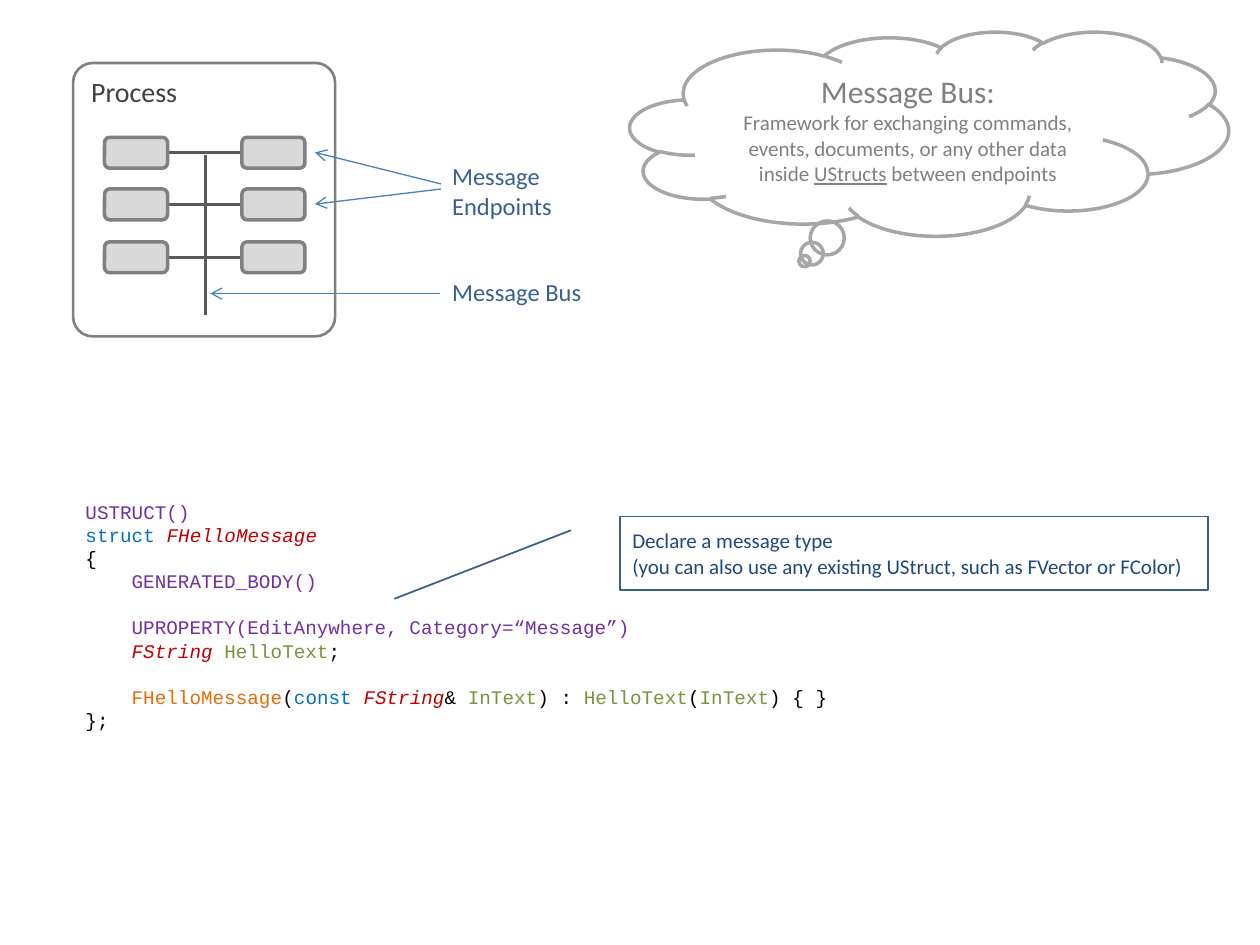
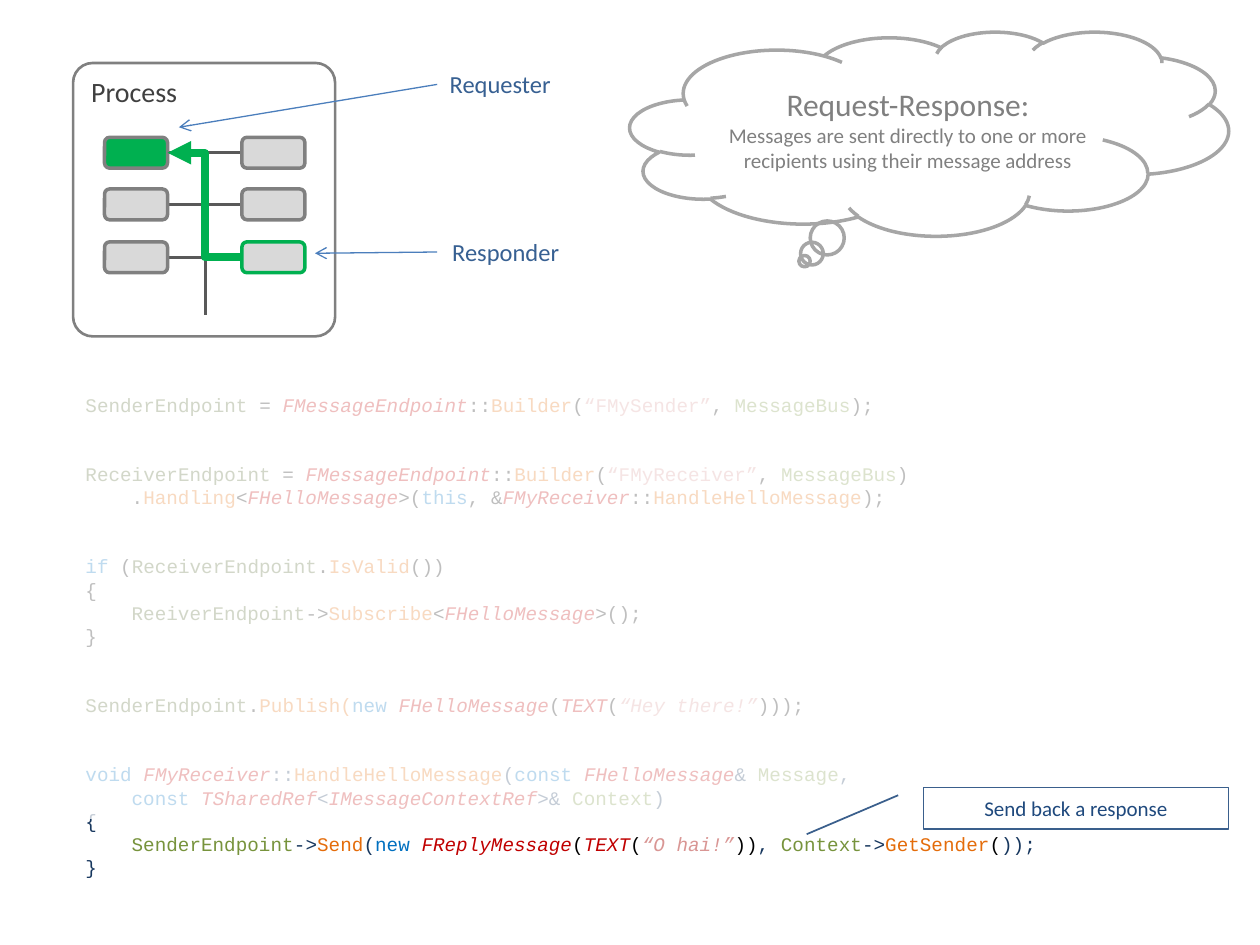
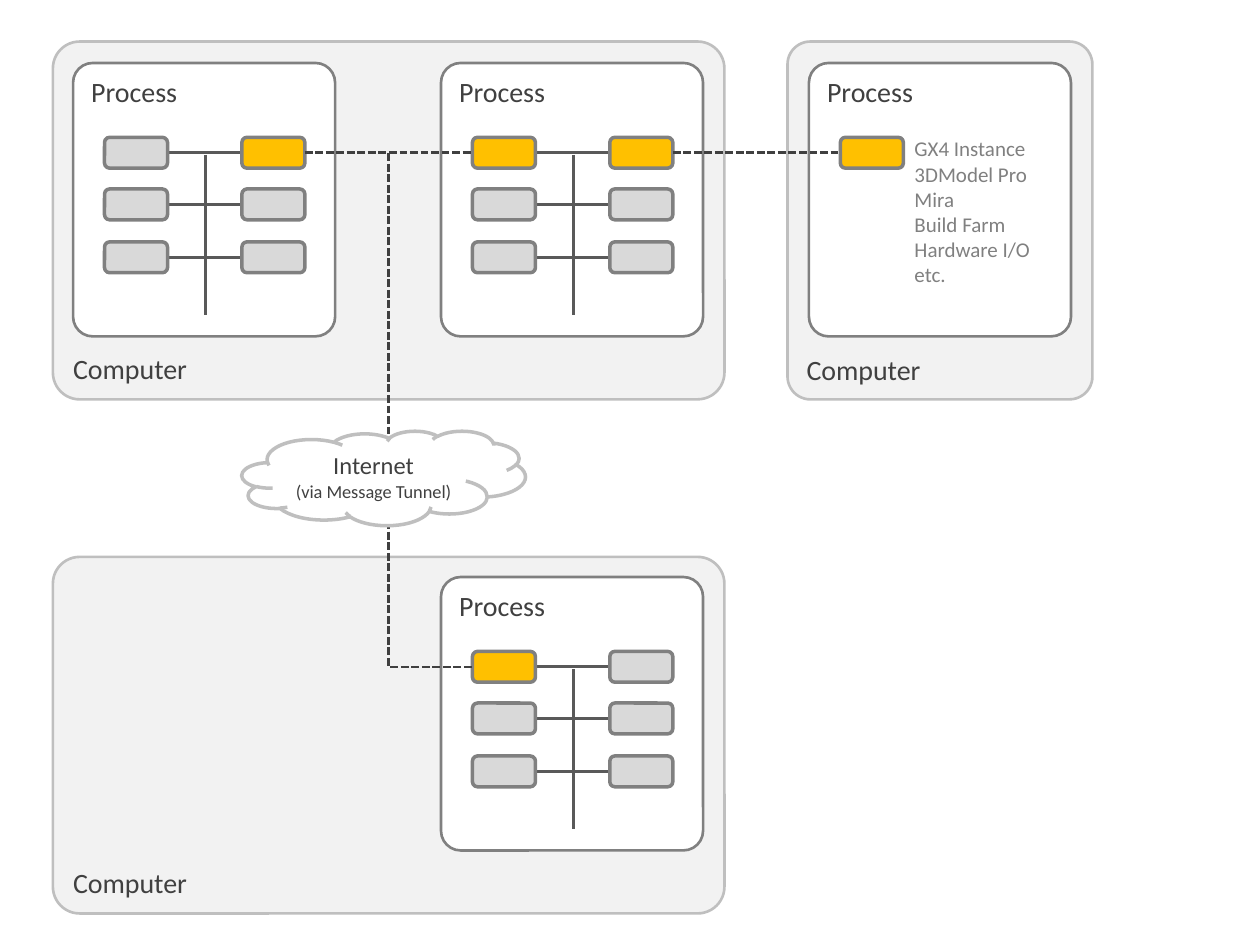
import dataclasses

import pptx
import pptx.dml.color
import pptx.enum.dml
import pptx.enum.shapes
import pptx.enum.text
import pptx.oxml.ns
import pptx.util
from lxml import etree

Inches = pptx.util.Inches
Pt = pptx.util.Pt
SHAPE = pptx.enum.shapes.MSO_SHAPE
CONNECTOR = pptx.enum.shapes.MSO_CONNECTOR
ANCHOR = pptx.enum.text.MSO_ANCHOR
ALIGN = pptx.enum.text.PP_ALIGN
qn = pptx.oxml.ns.qn


@dataclasses.dataclass(frozen=True)
class Theme:
    font: str = "Calibri"
    code_font: str = "Courier New"
    white: str = "FFFFFF"
    panel: str = "F2F2F2"
    panel_edge: str = "BFBFBF"
    node: str = "D9D9D9"
    edge: str = "808080"
    bus: str = "595959"
    ink: str = "404040"
    muted: str = "808080"
    cloud_edge: str = "A6A6A6"
    arrow: str = "4B7EBC"
    label: str = "376092"
    note: str = "1F497D"
    note_edge: str = "3A5F8C"
    green: str = "00B050"
    amber: str = "FFC000"
    heading_pt: float = 18
    box_pt: float = 16
    label_pt: float = 14
    body_pt: float = 12
    small_pt: float = 10.5
    code_pt: float = 11
    code_line_pt: float = 13.2


T = Theme()

CODE_COLOURS = {
    "macro": "7030A0", "key": "0070C0", "type": "C00000", "func": "E46C0A",
    "var": "77933C", "member": "4F6228", "str": "D99694", "istr": "D99694",
    "op": "000000", "navy": "17375E",
}
ITALIC_CODE = ("type", "istr")

NODE_X = (0.25, 1.34)
NODE_Y = (0.59, 1.0, 1.42)
NODE_W, NODE_H = 0.5, 0.245
BUS_X, BUS_TOP, BUS_END = 1.05, 0.73, 2.0
PROCESS_W, PROCESS_H = 2.08, 2.17

STRUCT_CODE = [
    (0, 0, "macro:USTRUCT()"),
    (0, 0, "key:struct |type:FHelloMessage"),
    (0, 0, "op:{"),
    (1, 0, "macro:GENERATED_BODY()"),
    (1, 1, "macro:UPROPERTY(EditAnywhere, Category=“Message”)"),
    (1, 0, "type:FString |var:HelloText|op:;"),
    (1, 1, "func:FHelloMessage|op:(|key:const |type:FString|op:& |var:InText|op:) : "
           "|var:HelloText|op:(|var:InText|op:) { }"),
    (0, 0, "op:};"),
]

MESSAGE_CODE = [
    (0, 0, "member:SenderEndpoint|op: = |type:FMessageEndpoint|op:::|func:Builder|op:("
           "|str:“FMySender”|op:, |var:MessageBus|op:);"),
    (0, 2, "member:ReceiverEndpoint|op: = |type:FMessageEndpoint|op:::|func:Builder|op:("
           "|str:“FMyReceiver”|op:, |var:MessageBus|op:)"),
    (1, 0, "op:.|func:Handling|op:<|type:FHelloMessage|op:>(|key:this|op:, &"
           "|type:FMyReceiver|op:::|func:HandleHelloMessage|op:);"),
    (0, 2, "key:if|op: (|member:ReceiverEndpoint|op:.|func:IsValid|op:())"),
    (0, 0, "op:{"),
    (1, 0, "member:ReeiverEndpoint|op:->|func:Subscribe|op:<|type:FHelloMessage|op:>();"),
    (0, 0, "op:}"),
    (0, 2, "member:SenderEndpoint|op:.|func:Publish(|key:new |type:FHelloMessage|op:("
           "|type:TEXT|op:(|istr:“Hey there!”|op:)));"),
    (0, 2, "key:void |type:FMyReceiver|navy:::|func:HandleHelloMessage|navy:(|key:const "
           "|type:FHelloMessage|navy:& |var:Message|navy:,"),
    (1, 0, "key:const |type:TSharedRef|navy:<|type:IMessageContextRef|navy:>& "
           "|var:Context|navy:)"),
    (0, 0, "navy:{"),
    (1, 0, "var:SenderEndpoint|navy:->|func:Send|navy:(|key:new |type:FReplyMessage|op:("
           "|type:TEXT|op:(|istr:“O hai!”|op:))|navy:, |var:Context|navy:->"
           "|func:GetSender|op:(|navy:));"),
    (0, 0, "navy:}"),
]


def rgb(colour):
    return pptx.dml.color.RGBColor.from_string(colour)


def set_attrs(obj, values):
    for name, value in values.items():
        setattr(obj, name, value)


def add_run(p, text, size, colour, **values):
    r = p.add_run()
    r.text = text
    set_attrs(r.font, {"name": T.font, "size": Pt(size), **values})
    r.font.color.rgb = rgb(colour)


def write(tf, lines, size, colour, align=ALIGN.LEFT, anchor=ANCHOR.TOP):
    tf.vertical_anchor = anchor
    for i, line in enumerate(lines):
        p = tf.add_paragraph() if i else tf.paragraphs[0]
        p.alignment = align
        add_run(p, line, size, colour)


def add_box(slide, kind, box, fill=None, line=None, width=1.5, radius=None):
    sp = slide.shapes.add_shape(kind, *map(Inches, box))
    sp.shadow.inherit = False
    if fill:
        sp.fill.solid()
        sp.fill.fore_color.rgb = rgb(fill)
    else:
        sp.fill.background()
    if line:
        sp.line.color.rgb = rgb(line)
        sp.line.width = Pt(width)
    else:
        sp.line.fill.background()
    if radius:
        sp.adjustments[0] = radius
    return sp


def add_link(slide, start, end, colour, width=1.5, kind=CONNECTOR.STRAIGHT,
             dash=None, head=None, tail=None):
    cx = slide.shapes.add_connector(kind, *map(Inches, (*start, *end)))
    cx.line.color.rgb = rgb(colour)
    cx.line.width = Pt(width)
    if dash:
        cx.line.dash_style = dash
    ln = cx.line._get_or_add_ln()
    for tag, arrow in (("a:headEnd", head), ("a:tailEnd", tail)):
        if arrow:
            etree.SubElement(ln, qn(tag)).set("type", arrow)
    etree.SubElement(cx._element.spPr, qn("a:effectLst"))
    return cx


def add_dashed(slide, start, end, kind=CONNECTOR.STRAIGHT):
    add_link(slide, start, end, T.ink, kind=kind,
             dash=pptx.enum.dml.MSO_LINE.SQUARE_DOT)


def add_pointer(slide, start, end):
    add_link(slide, start, end, T.arrow, 0.75, tail="arrow")


def add_text_frame(slide, box):
    tf = slide.shapes.add_textbox(*map(Inches, box)).text_frame
    set_attrs(tf, {"word_wrap": False,
                   "auto_size": pptx.enum.text.MSO_AUTO_SIZE.SHAPE_TO_FIT_TEXT})
    return tf


def add_label(slide, box, *lines):
    write(add_text_frame(slide, box), lines, T.label_pt, T.label)


def add_code(slide, box, lines):
    tf = add_text_frame(slide, box)
    for i, (level, gap, line) in enumerate(lines):
        p = tf.add_paragraph() if i else tf.paragraphs[0]
        set_attrs(p, {"line_spacing": Pt(T.code_line_pt),
                      "space_before": Pt(gap * T.code_line_pt)})
        p._p.get_or_add_pPr().set("marL", str(Pt(level * 4 * 0.6 * T.code_pt)))
        for token in line.split("|"):
            style, text = token.split(":", 1)
            add_run(p, text, T.code_pt, CODE_COLOURS[style],
                    name=T.code_font, italic=style in ITALIC_CODE)


def add_node(slide, x, y, col, row, fill=T.node, line=T.edge):
    box = (x + NODE_X[col], y + NODE_Y[row], NODE_W, NODE_H)
    add_box(slide, SHAPE.ROUNDED_RECTANGLE, box, fill, line, 2)


def port(x, y, col, row):
    inner = NODE_W if col == 0 else 0
    return x + NODE_X[col] + inner, y + NODE_Y[row] + NODE_H / 2


def outer_port(x, y, col):
    outer = 0 if col == 0 else NODE_W
    return x + NODE_X[col] + outer, y + NODE_Y[0] + NODE_H / 2


def add_process_frame(slide, x, y):
    sp = add_box(slide, SHAPE.ROUNDED_RECTANGLE, (x, y, PROCESS_W, PROCESS_H),
                 T.white, T.edge, radius=0.075)
    write(sp.text_frame, ["Process"], T.box_pt, T.ink)


def add_process(slide, x, y, special=None):
    special = special or {}
    add_process_frame(slide, x, y)
    add_link(slide, (x + BUS_X, y + BUS_TOP), (x + BUS_X, y + BUS_END), T.bus)
    for row in range(len(NODE_Y)):
        add_link(slide, port(x, y, 0, row), port(x, y, 1, row), T.bus)
        for col in range(len(NODE_X)):
            add_node(slide, x, y, col, row, **special.get((col, row), {}))


def add_computer(slide, box):
    sp = add_box(slide, SHAPE.ROUNDED_RECTANGLE, box, T.panel, T.panel_edge, radius=0.075)
    write(sp.text_frame, ["Computer"], T.box_pt, T.ink, anchor=ANCHOR.BOTTOM)


def add_thought(slide, title, *parts):
    sp = add_box(slide, SHAPE.CLOUD_CALLOUT, (5, 0.25, 4.75, 1.62),
                 line=T.cloud_edge, width=2)
    tf = sp.text_frame
    write(tf, [title], T.heading_pt, T.muted, ALIGN.CENTER, ANCHOR.MIDDLE)
    p = tf.add_paragraph()
    p.alignment = ALIGN.CENTER
    for text, underline in parts:
        add_run(p, text, T.body_pt, T.muted, underline=underline)


def add_note(slide, box, lines, align=ALIGN.LEFT):
    sp = add_box(slide, SHAPE.LINE_CALLOUT_1, box, line=T.note_edge, width=1)
    write(sp.text_frame, lines, T.body_pt, T.note, align, ANCHOR.MIDDLE)


def add_veil(slide, box):
    sp = add_box(slide, SHAPE.RECTANGLE, box, T.white)
    clr = sp._element.spPr.find(qn("a:solidFill")).find(qn("a:srgbClr"))
    etree.SubElement(clr, qn("a:alpha")).set("val", "75000")


def build_message_bus(slide):
    add_process(slide, 0.58, 0.5)
    add_pointer(slide, (3.5, 1.46), (2.5, 1.21))
    add_pointer(slide, (3.5, 1.5), (2.5, 1.62))
    add_label(slide, (3.49, 1.23, 1, 0.57), "Message", "Endpoints")
    add_pointer(slide, (3.49, 2.33), (1.67, 2.33))
    add_label(slide, (3.49, 2.15, 1.24, 0.34), "Message Bus")
    add_thought(slide, "Message Bus:",
                ("Framework for exchanging commands, events, documents, "
                 "or any other data inside ", False),
                ("UStructs", True), (" between endpoints", False))
    add_code(slide, (0.58, 3.92, 6.15, 1.95), STRUCT_CODE)
    add_note(slide, (4.92, 4.1, 4.67, 0.58), [
        "Declare a message type",
        "(you can also use any existing UStruct, such as FVector or FColor)"])


def build_request_response(slide):
    x, y = 0.58, 0.5
    add_process(slide, x, y, {(0, 0): {"fill": T.green}, (1, 2): {"line": T.green}})
    add_link(slide, port(x, y, 0, 0), port(x, y, 1, 2), T.green, 4.5,
             CONNECTOR.ELBOW, head="triangle")
    add_pointer(slide, (3.47, 2), (2.5, 2.01))
    add_label(slide, (3.49, 1.83, 1.06, 0.34), "Responder")
    add_label(slide, (3.47, 0.5, 1.01, 0.34), "Requester")
    add_pointer(slide, (3.47, 0.67), (1.42, 1.01))
    add_code(slide, (0.58, 3.07, 7.82, 3.99), MESSAGE_CODE)
    add_veil(slide, (0.42, 3, 9.17, 3.5))
    add_note(slide, (7.33, 6.25, 2.42, 0.33), ["Send back a response"], ALIGN.CENTER)
    add_thought(slide, "Request-Response:",
                ("Messages are sent directly to one or more recipients "
                 "using their message address", False))


def build_network(slide):
    first, second, third, remote = (0.58, 0.5), (3.5, 0.5), (6.42, 0.5), (3.5, 4.58)
    amber = {"fill": T.amber}
    for box in ((0.42, 0.33, 5.33, 2.84), (0.42, 4.42, 5.33, 2.83),
                (6.25, 0.33, 2.42, 2.84)):
        add_computer(slide, box)
    add_process(slide, *first, {(1, 0): amber})
    add_process(slide, *second, {(0, 0): amber, (1, 0): amber})
    add_process(slide, *remote, {(0, 0): amber})
    add_process_frame(slide, *third)
    add_node(slide, *third, 0, 0, **amber)

    add_dashed(slide, outer_port(*first, 1), outer_port(*second, 0))
    add_dashed(slide, outer_port(*second, 1), outer_port(*third, 0))
    add_dashed(slide, outer_port(*first, 1), outer_port(*remote, 0), CONNECTOR.ELBOW)

    cloud = add_box(slide, SHAPE.CLOUD, (1.92, 3.42, 2.25, 0.75),
                    T.white, T.panel_edge, 2)
    tf = cloud.text_frame
    write(tf, ["Internet"], T.label_pt, T.ink, ALIGN.CENTER, ANCHOR.MIDDLE)
    p = tf.add_paragraph()
    p.alignment = ALIGN.CENTER
    add_run(p, "(via Message Tunnel)", T.small_pt, T.ink)

    apps = ["GX4 Instance", "3DModel Pro", "Mira", "Build Farm", "Hardware I/O", "etc."]
    write(add_text_frame(slide, (7.16, 1.03, 1.16, 1.31)), apps, T.body_pt, T.muted)


def main():
    prs = pptx.Presentation()
    set_attrs(prs, {"slide_width": Inches(10), "slide_height": Inches(7.5)})
    blank = prs.slide_layouts[6]
    for build in (build_message_bus, build_request_response, build_network):
        build(prs.slides.add_slide(blank))
    prs.save("out.pptx")


if __name__ == "__main__":
    main()
